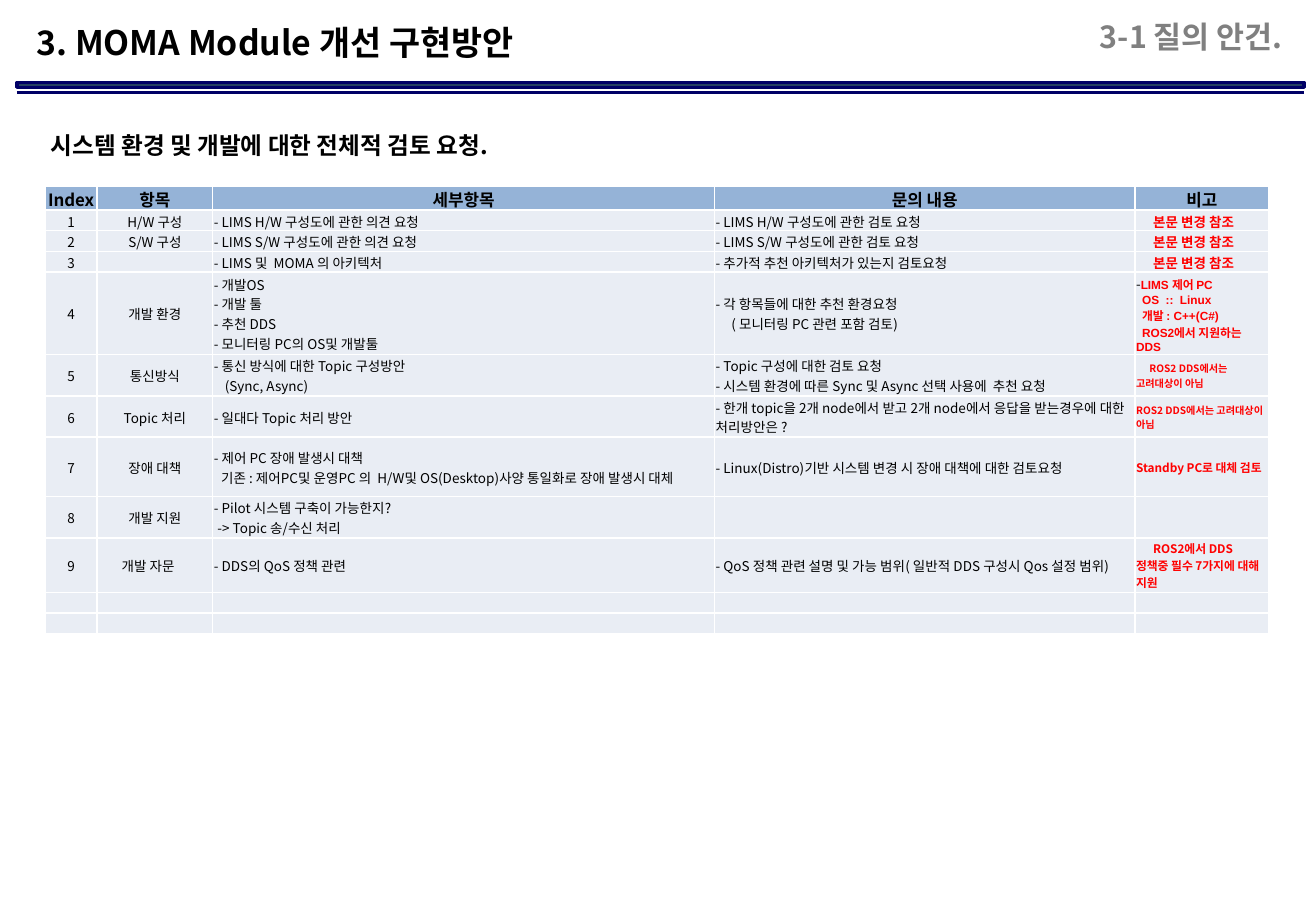
from itertools import zip_longest

from lxml import etree
from pptx import Presentation
from pptx import util as u
from pptx.dml import color
from pptx.enum import shapes, text
from pptx.oxml import ns

FONT = "Noto Sans CJK KR"
BLACK, RED, NAVY = "000000", "FF0000", "000066"
UNIT = 0.1
LEFT, MID, RIGHT = text.PP_ALIGN.LEFT, text.PP_ALIGN.CENTER, text.PP_ALIGN.RIGHT


def cells(n):
    """Turn a count of grid cells into a length."""
    return u.Inches(n * UNIT)


def paint(part, tone):
    """Give a fill or a font colour its hex tone."""
    part.rgb = color.RGBColor.from_string(tone)


def add_run(para, words, size, tone, bold, font):
    """Append one formatted run to a paragraph."""
    run = para.add_run()
    run.text = words
    run.font.size, run.font.bold, run.font.name = u.Pt(size), bold, font
    paint(run.font.color, tone)
    east = etree.SubElement(run.font._element, ns.qn("a:ea"))
    east.set("typeface", FONT)


def write(frame, words, size=8, tone=BLACK, bold=False, font=FONT,
          align=LEFT, space=None, dents=(), lead=""):
    """Fill a frame, one paragraph a line, with first-line indents."""
    frame.word_wrap = True
    for i, (line, dent) in enumerate(zip_longest(words.split("\n"), dents, fillvalue=0)):
        para = frame.add_paragraph() if i else frame.paragraphs[0]
        para.alignment, para.line_spacing = align, space
        if dent:
            props = para._p.get_or_add_pPr()
            props.set("marL", "0")
            props.set("indent", str(int(cells(dent))))
        if lead and i == 0:
            add_run(para, lead, 8, BLACK, False, FONT)
        if line:
            add_run(para, line, size, tone, bold, font)
        else:
            end = etree.SubElement(para._p, ns.qn("a:endParaRPr"))
            end.set("sz", str(size * 100))


class Deck:
    """Hold the presentation, its current slide and its style."""

    def __init__(self, cols, rows):
        self.file = Presentation()
        self.file.slide_width, self.file.slide_height = cells(cols), cells(rows)
        self.slide = self.file.slides.add_slide(self.file.slide_layouts[5])

    def title(self, words, box, **fmt):
        head = self.slide.shapes.title
        head.left, head.top, head.width, head.height = map(cells, box)
        self.frame(head.text_frame, text.MSO_ANCHOR.TOP)
        write(head.text_frame, words, **fmt)

    def frame(self, frame, anchor):
        frame.margin_left = frame.margin_right = frame.margin_top = frame.margin_bottom = 0
        frame.vertical_anchor = anchor

    def label(self, words, box, **fmt):
        item = self.slide.shapes.add_textbox(*map(cells, box))
        self.frame(item.text_frame, text.MSO_ANCHOR.MIDDLE)
        write(item.text_frame, words, **fmt)

    def shape(self, kind, box):
        item = self.slide.shapes.add_shape(kind, *map(cells, box))
        item.shadow.inherit = False
        return item

    def bar(self, box, fill, edge, width):
        item = self.shape(shapes.MSO_SHAPE.RECTANGLE, box)
        item.fill.solid()
        paint(item.fill.fore_color, fill)
        paint(item.line.color, edge)
        item.line.width = u.Pt(width)

    def panel(self, words, box, **fmt):
        item = self.shape(shapes.MSO_SHAPE.ROUNDED_RECTANGLE, box)
        item.adjustments[0] = 0.09
        item.fill.background()
        item.line.fill.background()
        item.text_frame.vertical_anchor = text.MSO_ANCHOR.MIDDLE
        write(item.text_frame, words, **fmt)

    def rule(self, start, end, tone, width):
        line = self.slide.shapes.add_connector(
            shapes.MSO_CONNECTOR.STRAIGHT, *map(cells, start + end))
        paint(line.line.color, tone)
        line.line.width = u.Pt(width)
        etree.SubElement(line._element.spPr, ns.qn("a:effectLst"))

    def table(self, at, cols, rows, data):
        box = (*at, sum(cols), sum(rows))
        grid = self.slide.shapes.add_table(len(rows), len(cols), *map(cells, box)).table
        grid.first_row = grid.horz_banding = False
        for col, wide in zip(grid.columns, cols):
            col.width = cells(wide)
        for r, (row, tall) in enumerate(zip(data, rows)):
            grid.rows[r].height = cells(tall)
            for c, item in enumerate(row):
                self.cell(grid.cell(r, c), item, r == 0, c)

    def cell(self, cell, item, head, col):
        words, extra = item if isinstance(item, tuple) else (item, {})
        cell.margin_left = cell.margin_right = cell.margin_top = cells(0.1)
        cell.margin_bottom = 0
        cell.vertical_anchor = text.MSO_ANCHOR.MIDDLE
        cell.fill.solid()
        paint(cell.fill.fore_color, "95B3D7" if head else "E9EDF4")
        fmt = dict(size=10 if head else 8, bold=head, align=MID if head or col < 2 else LEFT)
        write(cell.text_frame, words, **{**fmt, **extra})


def note(words, size=7, **extra):
    """Pair a red bold remark with its format."""
    return words, dict(size=size, tone=RED, bold=True, **extra)


SEE = note("본문 변경 참조", 8, dents=(1.4,))
HEAD = ["Index", "항목", "세부항목", "문의 내용", "비고"]
ITEMS = [
    ("H/W 구성", "- LIMS H/W 구성도에 관한 의견 요청", "- LIMS H/W 구성도에 관한 검토 요청", SEE),
    ("S/W 구성", "- LIMS S/W 구성도에 관한 의견 요청", "- LIMS S/W 구성도에 관한 검토 요청", SEE),
    ("", "- LIMS 및  MOMA 의 아키텍처", "- 추가적 추천 아키텍처가 있는지 검토요청", SEE),
    ("개발 환경", "- 개발OS\n- 개발 툴\n- 추천 DDS\n- 모니터링 PC의 OS및 개발툴",
     ("- 각 항목들에 대한 추천 환경요청\n( 모니터링 PC 관련 포함 검토)", dict(dents=(0, 1.3))),
     note("LIMS 제어 PC\nOS  ::  Linux\n개발 : C++(C#)\nROS2에서 지원하는 DDS",
          font="Arial", lead="-", dents=(0, 0.5, 0.5, 0.5))),
    ("통신방식", ("- 통신 방식에 대한 Topic 구성방안\n(Sync, Async)", dict(dents=(0, 0.9))),
     "- Topic 구성에 대한 검토 요청\n- 시스템 환경에 따른 Sync 및 Async 선택 사용에  추천 요청",
     note("ROS2 DDS에서는 고려대상이 아님", 6, dents=(1.1,))),
    ("Topic 처리", "- 일대다 Topic 처리 방안",
     "- 한개 topic을 2개 node에서 받고 2개 node에서 응답을 받는경우에 대한 처리방안은 ?",
     note("ROS2 DDS에서는 고려대상이 아님", 6)),
    ("장애 대책",
     ("- 제어 PC 장애 발생시 대책\n"
      "기존 : 제어PC및 운영PC 의  H/W및 OS(Desktop)사양 통일화로 장애 발생시 대체",
      dict(dents=(0, 0.6))),
     "- Linux(Distro)기반 시스템 변경 시 장애 대책에 대한 검토요청",
     note("Standby PC로 대체 검토")),
    ("개발 지원", ("- Pilot 시스템 구축이 가능한지?\n-> Topic 송/수신 처리", dict(dents=(0, 0.3))),
     "", ""),
    ("개발 자문　", "- DDS의 QoS 정책 관련",
     "- QoS 정책 관련 설명 및 가능 범위( 일반적 DDS 구성시 Qos 설정 범위)",
     note("ROS2에서 DDS 정책중 필수 7가지에 대해 지원", dents=(1.4,))),
]
COLS = [4.3, 9.5, 41.3, 34.6, 11]
ROWS = [2, 1.7, 1.7, 1.7, 6.8, 3.4, 3.4, 4.9, 3.4, 4.5, 1.7, 1.7]


def main():
    """Build the slide and save it."""
    deck = Deck(108.3, 75)
    deck.bar((1.4, 6.8, 105.9, 0.4), "254061", NAVY, 2)
    deck.rule((1.4, 7.6), (107.3, 7.6), NAVY, 1.5)
    deck.title("3. MOMA Module 개선 구현방안", (3, 2.2, 99.2, 5.4), size=20, bold=True, space=0.9)
    deck.label("3-1 질의 안건. ", (65.2, 0.5, 40.9, 5.4), size=18, tone="808080", bold=True,
               align=RIGHT, space=0.9)
    body = [[str(i), *row] for i, row in enumerate(ITEMS, 1)]
    deck.table((3.7, 15.3), COLS, ROWS, [HEAD, *body, [""] * 5, [""] * 5])
    deck.panel("시스템 환경 및 개발에 대한 전체적 검토 요청.", (3, 8.4, 101.6, 7.1), size=14, bold=True)
    deck.file.save("out.pptx")


if __name__ == "__main__":
    main()
